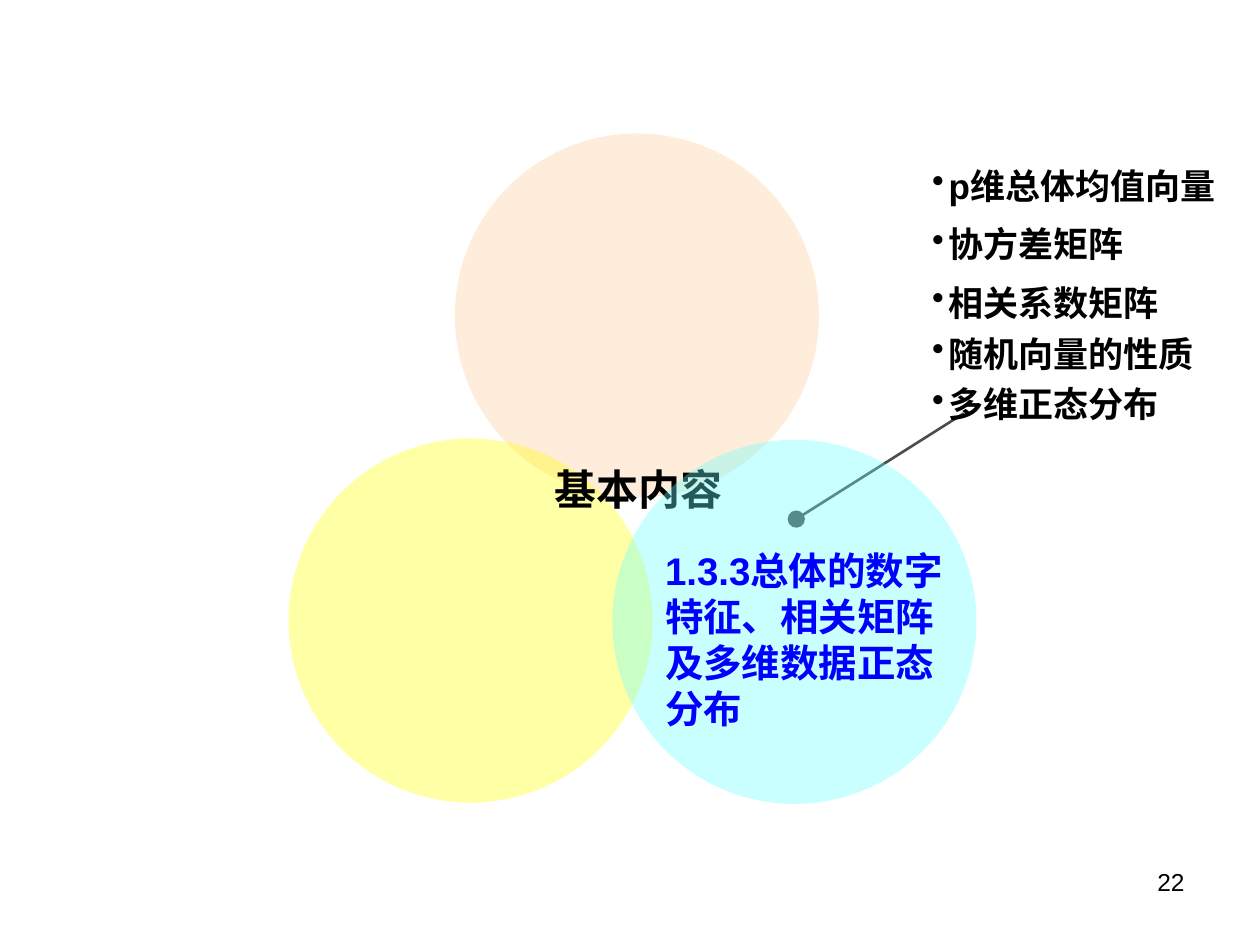
from lxml import etree
from pptx import Presentation
from pptx.dml.color import RGBColor
from pptx.enum.shapes import MSO_CONNECTOR, MSO_SHAPE
from pptx.enum.text import PP_ALIGN
from pptx.oxml.ns import qn
from pptx.util import Inches, Pt

PEACH = RGBColor(0xFF, 0xCC, 0x99)
YELLOW = RGBColor(0xFF, 0xFF, 0x00)
CYAN = RGBColor(0x66, 0xFF, 0xFF)
GRAY = RGBColor(0x4D, 0x4D, 0x4D)
BLUE = RGBColor(0x00, 0x00, 0xFF)
BLACK = RGBColor(0x00, 0x00, 0x00)

WIDTH, HEIGHT = 10, 7.5
DIAMETER = 2.89
TOPICS = ["p维总体均值向量", "协方差矩阵", "相关系数矩阵", "随机向量的性质", "多维正态分布"]


def add_circle(slide, left, top, color):
    """Borderless, 35 % opaque circle."""
    circle = slide.shapes.add_shape(
        MSO_SHAPE.OVAL, Inches(left), Inches(top), Inches(DIAMETER), Inches(DIAMETER))
    circle.shadow.inherit = False
    circle.line.fill.background()
    circle.fill.solid()
    circle.fill.fore_color.rgb = color
    color_element = circle.fill._xPr.find(".//" + qn("a:srgbClr"))
    etree.SubElement(color_element, qn("a:alpha"), val="35000")


def add_text(slide, box, lines, size, color=BLACK, bold=True, align=PP_ALIGN.LEFT):
    """Wrapped text box with one paragraph per line; returns the paragraphs."""
    frame = slide.shapes.add_textbox(*map(Inches, box)).text_frame
    frame.word_wrap = True
    frame.text = "\n".join(lines)
    for paragraph in frame.paragraphs:
        paragraph.alignment = align
        paragraph.line_spacing = Pt(size * 1.2)
        font = paragraph.font
        font.name, font.size, font.bold = "Arial", Pt(size), bold
        font.color.rgb = color
    return frame.paragraphs


def add_topic_list(slide, box):
    """Bulleted topics, the last two set tighter."""
    for index, paragraph in enumerate(add_text(slide, box, TOPICS, 20)):
        paragraph.space_before = Pt(10 if index else 0)
        paragraph.line_spacing = Pt(23.5 if index < 3 else 19)
        properties = paragraph._p.get_or_add_pPr()
        properties.set("marL", str(Inches(0.13)))
        properties.set("indent", str(-Inches(0.13)))
        bullet = etree.Element(qn("a:buChar"), char="•")
        properties.find(qn("a:defRPr")).addprevious(bullet)
        for run in paragraph.runs:
            run.font.name = "Arial"
            etree.SubElement(run.font._element, qn("a:ea"), typeface="Noto Sans CJK SC")


def add_callout_line(slide, start, end):
    """Line with a round dot at its start."""
    line = slide.shapes.add_connector(
        MSO_CONNECTOR.STRAIGHT, *map(Inches, (*start, *end)))
    line.line.color.rgb = GRAY
    line.line.width = Pt(1.5)
    etree.SubElement(line.line._get_or_add_ln(), qn("a:headEnd"),
                     type="oval", w="lg", len="lg")
    etree.SubElement(line._element.spPr, qn("a:effectLst"))


def add_venn(slide, left, top):
    """Three overlapping circles with their labels, callout and topics."""
    lower = top + 2.42
    add_circle(slide, left + 1.32, top, PEACH)
    add_circle(slide, left, lower, YELLOW)
    add_callout_line(slide, (left + 4.03, top + 3.06), (left + 5.36, top + 2.22))
    add_text(slide, (left + 1.97, top + 2.57, 1.61, 0.5), ["基本内容"], 24,
             align=PP_ALIGN.CENTER)
    add_topic_list(slide, (left + 5.01, top + 0.2, 2.68, 2.23))
    # The right circle tints the heading and the callout beneath it
    add_circle(slide, left + 2.57, lower + 0.01, CYAN)
    add_text(slide, (left + 2.89, top + 3.23, 2.48, 1.56),
             ["1.3.3总体的数字特征、相关矩阵及多维数据正态分布"], 22, BLUE)


def main():
    presentation = Presentation()
    presentation.slide_width, presentation.slide_height = Inches(WIDTH), Inches(HEIGHT)
    slide = presentation.slides.add_slide(presentation.slide_layouts[6])
    # Page number
    add_text(slide, (7.17, 6.83, 2.33, 0.52), ["22"], 14, bold=False,
             align=PP_ALIGN.RIGHT)
    add_venn(slide, 2.29, 1.06)
    presentation.save("out.pptx")


if __name__ == "__main__":
    main()
